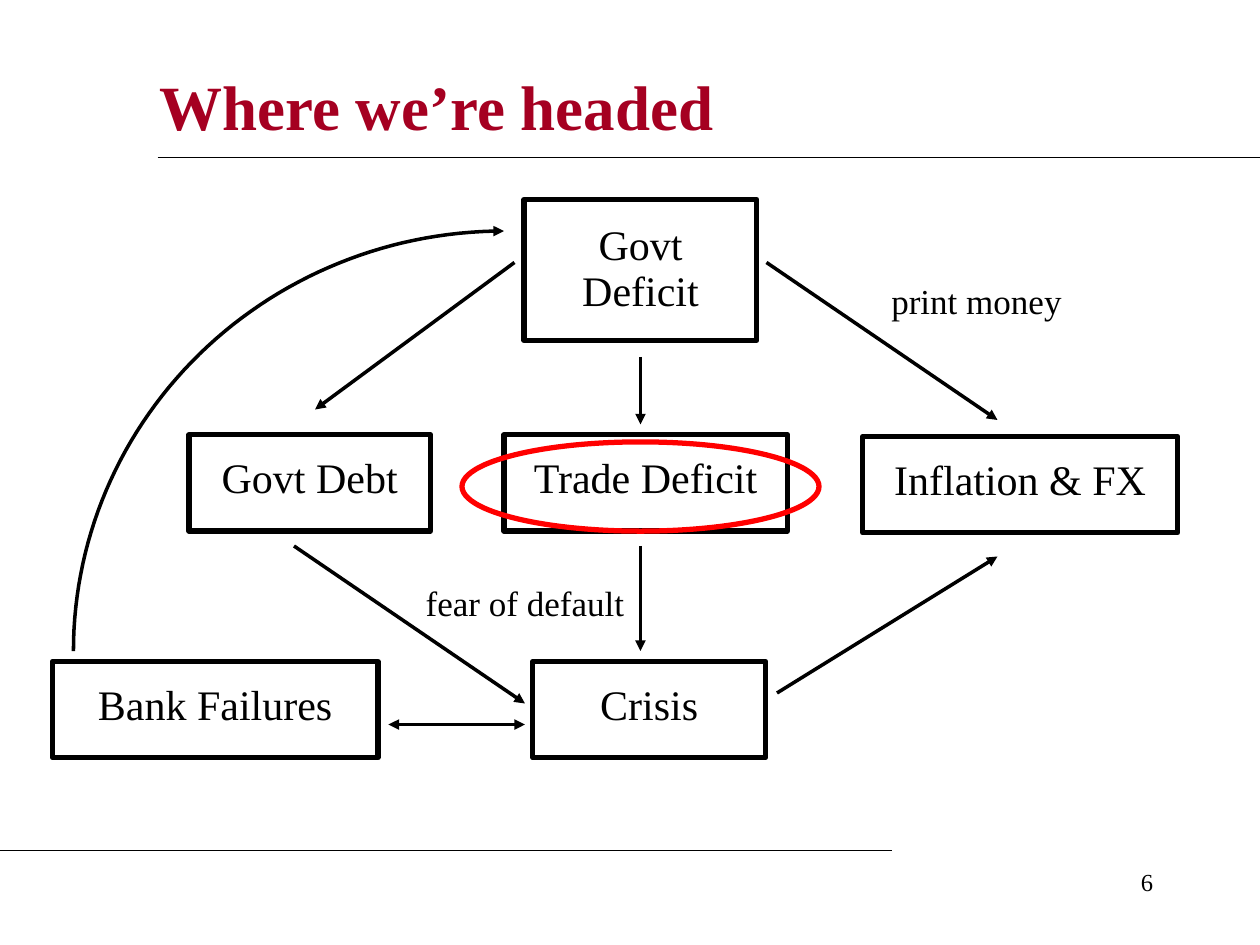
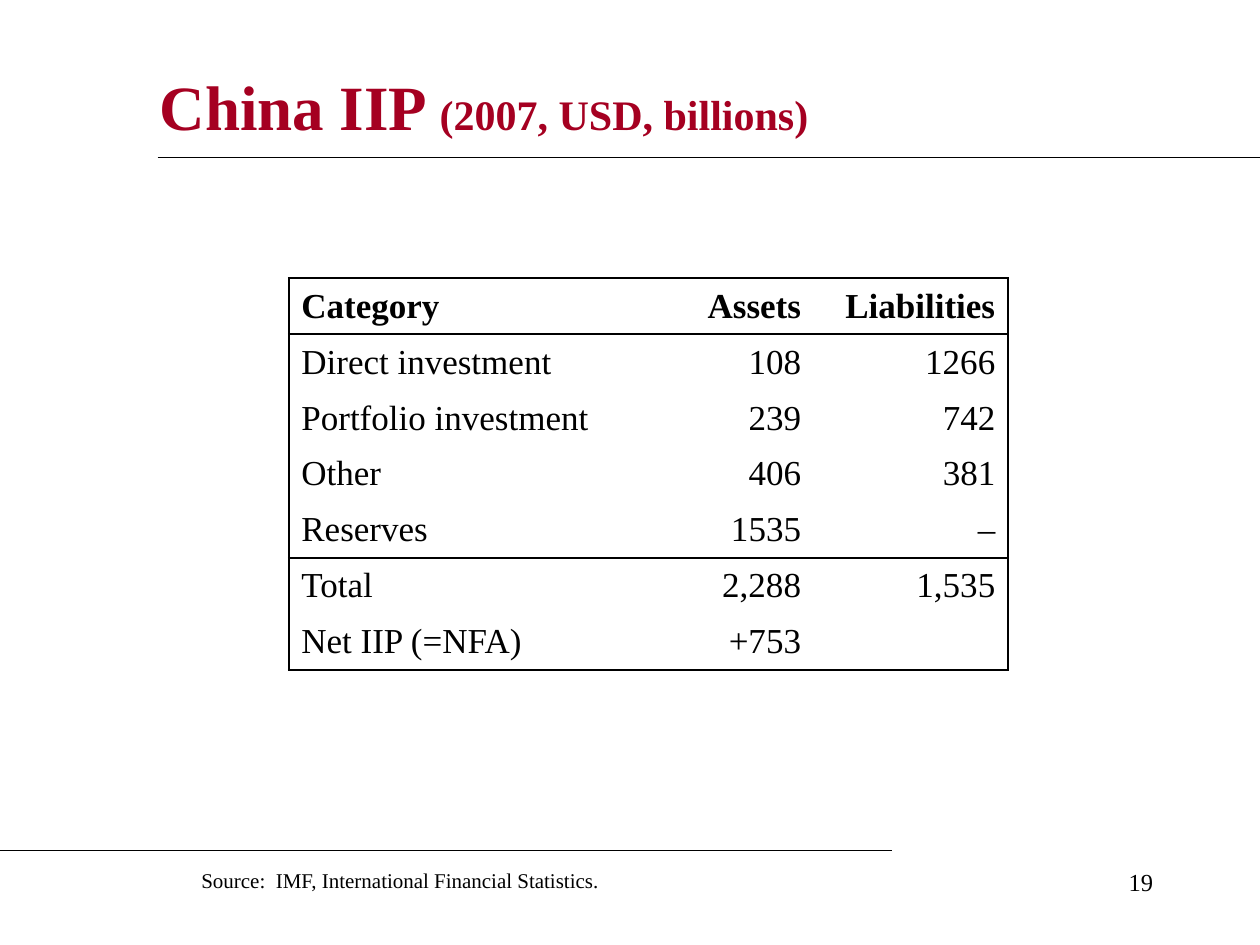
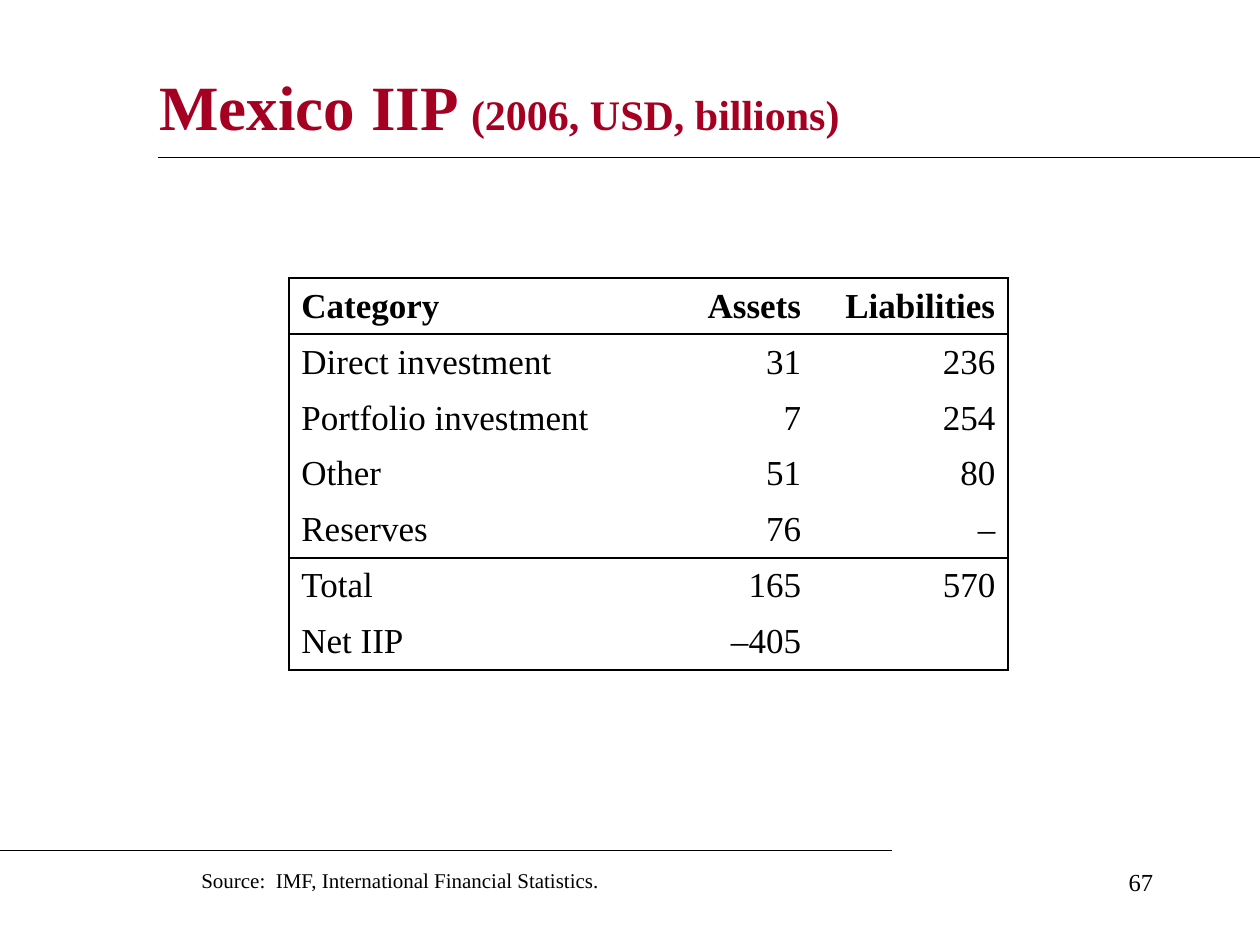
"""Build three slides on deficits and international investment positions."""
import math

import lxml.etree
import pptx
import pptx.dml.color
import pptx.enum.shapes
import pptx.enum.text
import pptx.oxml.ns
import pptx.util

Pt = pptx.util.Pt
Shape = pptx.enum.shapes.MSO_SHAPE
Align = pptx.enum.text.PP_ALIGN
Anchor = pptx.enum.text.MSO_ANCHOR
AutoSize = pptx.enum.text.MSO_AUTO_SIZE
qn = pptx.oxml.ns.qn


def rgb(hex_string):
    return pptx.dml.color.RGBColor.from_string(hex_string)


def assign(target, values):
    for name, value in values.items():
        setattr(target, name, value)


class Deck:
    FONT = "Times New Roman"
    INK, TITLE, HIGHLIGHT = "000000", "A50021", "FF0000"
    BORDER = 1.08

    def __init__(self):
        self.presentation = pptx.Presentation()
        assign(self.presentation, {"slide_width": Pt(720), "slide_height": Pt(540)})
        self.shapes = None

    def start_slide(self, title_parts, page, title_box):
        layout = self.presentation.slide_layouts[5]
        self.shapes = self.presentation.slides.add_slide(layout).shapes
        title = self.shapes.title
        assign(title, dict(zip(("left", "top", "width", "height"), map(Pt, title_box))))
        assign(title.text_frame, {"word_wrap": True, "auto_size": AutoSize.NONE,
                                  "vertical_anchor": Anchor.MIDDLE})
        paragraph = title.text_frame.paragraphs[0]
        paragraph.alignment = Align.LEFT
        for words, size in title_parts:
            self.add_words(paragraph, words, size, True, self.TITLE)
        self.connect((90, 90), (720, 90), 0.75)
        self.connect((0, 486), (510, 486), 0.75)
        self.label(page, (516, 492, 150, 36), 14, Align.RIGHT)

    def add_words(self, paragraph, words, size, bold=False, color=INK):
        run = paragraph.add_run()
        run.text = words
        assign(run.font, {"name": self.FONT, "size": Pt(size), "bold": bold})
        run.font.color.rgb = rgb(color)

    def label(self, words, box, size, alignment=Align.LEFT):
        frame = self.shapes.add_textbox(*map(Pt, box)).text_frame
        frame.word_wrap = True
        frame.paragraphs[0].alignment = alignment
        self.add_words(frame.paragraphs[0], words, size)

    def stroke(self, item, width, color=INK, arrows=()):
        item.line.color.rgb = rgb(color)
        item.line.width = Pt(width)
        outline = item.element.spPr.find(qn("a:ln"))
        for end in arrows:
            lxml.etree.SubElement(outline, qn(f"a:{end}"), type="triangle")

    def connect(self, start, end, width=2, arrows=()):
        line = self.shapes.add_connector(pptx.enum.shapes.MSO_CONNECTOR.STRAIGHT,
                                         *map(Pt, start + end))
        self.stroke(line, width, arrows=arrows)
        lxml.etree.SubElement(line.element.spPr, qn("a:effectLst"))

    def outline(self, preset, box, color=INK):
        shape = self.shapes.add_shape(preset, *map(Pt, box))
        shape.shadow.inherit = False
        shape.fill.background()
        self.stroke(shape, 3, color)
        return shape

    def node(self, words, box):
        frame = self.outline(Shape.RECTANGLE, box).text_frame
        sides = ("left", "top", "right", "bottom")
        assign(frame, {f"margin_{side}": Pt(14.4) for side in sides})
        assign(frame, {"word_wrap": True, "vertical_anchor": Anchor.TOP,
                       "auto_size": AutoSize.SHAPE_TO_FIT_TEXT})
        assign(frame.paragraphs[0], {"alignment": Align.CENTER, "line_spacing": 0.9})
        self.add_words(frame.paragraphs[0], words, 24)

    def quarter_arc(self, left, top, width, height, steps=60):
        angles = [math.pi / 2 * step / steps for step in range(steps + 1)]
        points = [(Pt(left + width * (1 - math.cos(angle))),
                   Pt(top + height * (1 - math.sin(angle)))) for angle in angles]
        builder = self.shapes.build_freeform(*points[0])
        builder.add_line_segments(points[1:], close=False)
        arc = builder.convert_to_shape()
        arc.shadow.inherit = False
        arc.fill.background()
        self.stroke(arc, 2, arrows=["tailEnd"])

    def border(self, cell, ruled):
        properties = cell._tc.get_or_add_tcPr()
        for side in "LRTB":
            edge = lxml.etree.SubElement(properties, qn(f"a:ln{side}"),
                                         w=str(Pt(self.BORDER)))
            if side in ruled:
                fill = lxml.etree.SubElement(edge, qn("a:solidFill"))
                lxml.etree.SubElement(fill, qn("a:srgbClr"), val=self.INK)
            else:
                lxml.etree.SubElement(edge, qn("a:noFill"))

    def table(self, rows, left, top, widths, row_height, rules_below):
        table = self.shapes.add_table(len(rows), len(widths), Pt(left), Pt(top),
                                      Pt(sum(widths)), Pt(row_height * len(rows))).table
        assign(table, {"first_row": False, "horz_banding": False})
        for column, width in zip(table.columns, widths):
            column.width = Pt(width)
        for r, row in enumerate(rows):
            table.rows[r].height = Pt(row_height)
            for c, words in enumerate(row):
                cell = table.cell(r, c)
                edges = {"L": c == 0, "R": c == len(widths) - 1,
                         "T": r == 0 or r - 1 in rules_below, "B": r in rules_below}
                self.border(cell, [side for side, ruled in edges.items() if ruled])
                cell.fill.background()
                cell.vertical_anchor = Anchor.MIDDLE
                paragraph = cell.text_frame.paragraphs[0]
                paragraph.alignment = Align.RIGHT if c else Align.LEFT
                if words:
                    self.add_words(paragraph, words, 20, bold=r == 0)


def add_crisis_map(deck):
    deck.start_slide([("Where we’re headed", 36)], "6", (84, 30, 582, 60))
    for words, box in (
        ("Govt Deficit", (299.5, 114, 133, 80.5)),
        ("Inflation & FX", (493, 249.5, 180, 55)),
        ("Govt Debt", (108, 248.5, 138, 55)),
        ("Crisis", (304.5, 378, 133, 55)),
        ("Trade Deficit", (288, 248.5, 162, 55)),
        ("Bank Failures", (30, 378, 186, 55)),
    ):
        deck.node(words, box)
    for start, end in (
        ((438, 150), (570, 240)),
        ((294, 150), (180, 234)),
        ((444, 396), (570, 318)),
        ((168, 312), (300, 402)),
        ((366, 204), (366, 242.5)),
        ((366, 312), (366, 372)),
    ):
        deck.connect(start, end, arrows=["tailEnd"])
    deck.connect((222, 414), (300, 414), arrows=["headEnd", "tailEnd"])
    deck.label("fear of default", (222, 329, 156, 31.5), 20, Align.CENTER)
    deck.label("print money", (480, 156, 156, 31.5), 20, Align.CENTER)
    deck.quarter_arc(42, 132, 246, 240)
    deck.outline(Shape.OVAL, (264, 252.5, 204, 51), deck.HIGHLIGHT)


def add_investment_position(deck, country, year, page, assets, liabilities, net_label):
    deck.start_slide([(f"{country} IIP ", 36), (f"({year}, USD, billions)", 24)],
                     page, (84, 18, 612, 84))
    categories = ("Category", "Direct investment", "Portfolio investment", "Other",
                  "Reserves", "Total", net_label)
    rows = list(zip(categories, ("Assets", *assets), ("Liabilities", *liabilities, "")))
    deck.table(rows, 165, 159, (222, 78, 111), 32, rules_below=(0, 4, 6))
    deck.label("Source:  IMF, International Financial Statistics.",
               (108, 492, 258, 21.5), 12)


def main():
    deck = Deck()
    add_crisis_map(deck)
    add_investment_position(
        deck, "China", 2007, "19", ("108", "239", "406", "1535", "2,288", "+753"),
        ("1266", "742", "381", "–", "1,535"), "Net IIP (=NFA)")
    add_investment_position(
        deck, "Mexico", 2006, "67", ("31", "7", "51", "76", "165", "–405"),
        ("236", "254", "80", "–", "570"), "Net IIP")
    deck.presentation.save("out.pptx")


if __name__ == "__main__":
    main()
